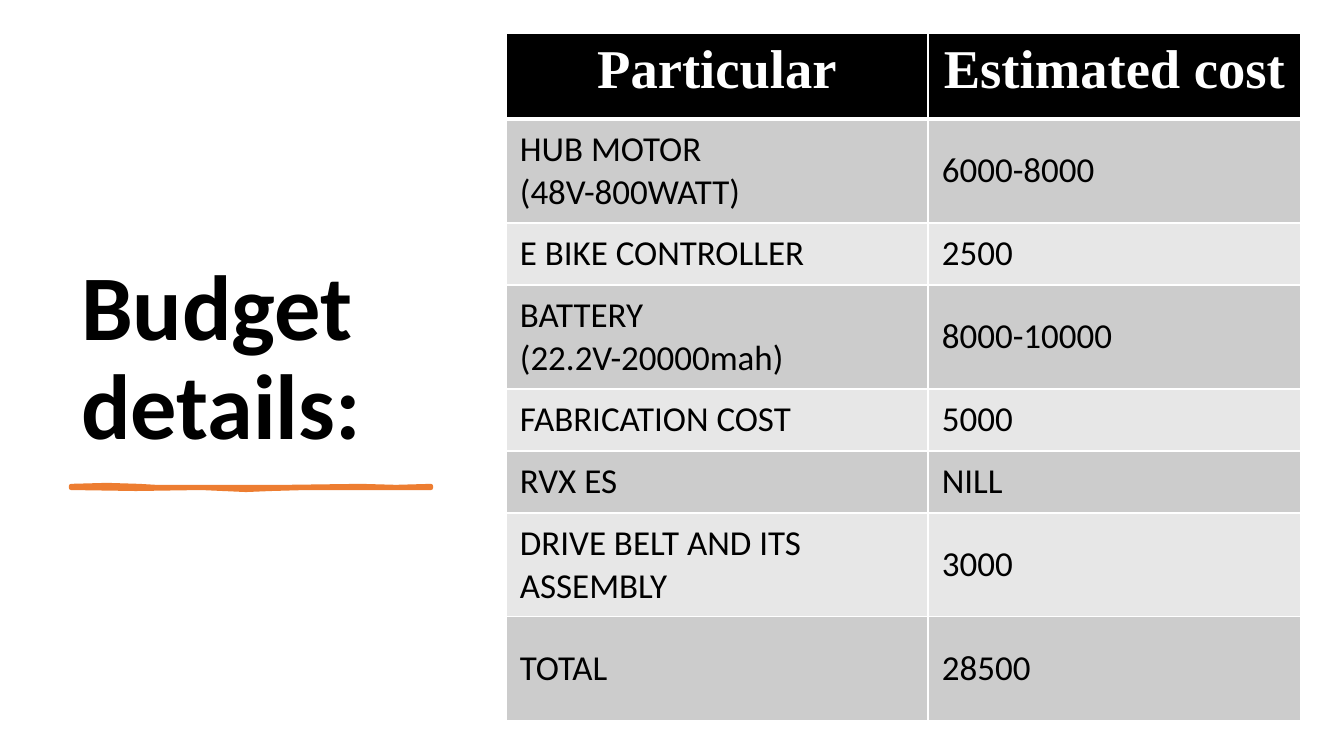
from lxml import etree
from pptx import Presentation
from pptx import util as u
from pptx.dml.color import RGBColor
from pptx.enum import text
from pptx.oxml import ns

BLACK = RGBColor(0, 0, 0)
WHITE = RGBColor(255, 255, 255)
DARK = RGBColor(0xCC, 0xCC, 0xCC)
LIGHT = RGBColor(0xE7, 0xE7, 0xE7)
ORANGE = RGBColor(0xED, 0x7D, 0x31)
SCALE = 914400 / 100.8
COLS = (422, 373)
HEAD = ("Particular", "Estimated cost")
COSTS = (
    ("HUB MOTOR (48V-800WATT)", "6000-8000", 104),
    ("E BIKE CONTROLLER ", "2500", 62),
    ("BATTERY (22.2V-20000mah)", "8000-10000", 104),
    ("FABRICATION COST", "5000", 62),
    ("RVX ES", "NILL", 62),
    ("DRIVE BELT AND ITS ASSEMBLY", "3000", 104),
    ("TOTAL", "28500", 104),
)
WAVE = ((0, 1), (36, 0), (68, 1), (85, 2), (140, 2), (215, 2), (290, 1),
        (325, 2), (360, 1), (360, 3), (280, 3), (235, 3), (200, 4),
        (175, 5), (130, 3), (65, 4), (0, 3))


def px(n):
    """Turn pixels into EMU."""
    return u.Emu(round(n * SCALE))


def write(para, words, font, size, color, bold):
    """Add one styled run to a paragraph."""
    run = para.add_run()
    run.text = words
    run.font.name, run.font.size = font, u.Pt(size)
    run.font.color.rgb, run.font.bold = color, bold


def title(slide, x, y, w, h):
    """Set the heading at the foot of its box."""
    box = slide.shapes.title
    box.left, box.top, box.width, box.height = map(px, (x, y, w, h))
    frame = box.text_frame
    frame.word_wrap = True
    frame.auto_size = text.MSO_AUTO_SIZE.NONE
    frame.vertical_anchor = text.MSO_ANCHOR.BOTTOM
    para = frame.paragraphs[0]
    para.alignment = text.PP_ALIGN.LEFT
    para.line_spacing = 0.9
    write(para, "Budget details: ", "Calibri", 66, BLACK, True)


def stroke(slide, x, y):
    """Draw the wavy underline from its top left corner."""
    pen = slide.shapes.build_freeform(*WAVE[0], scale=SCALE)
    pen.add_line_segments(WAVE[1:], close=True)
    wave = pen.convert_to_shape(px(x), px(y))
    wave.shadow.inherit = False
    wave.fill.solid()
    wave.fill.fore_color.rgb = ORANGE
    wave.line.color.rgb = ORANGE
    wave.line.width = u.Pt(3)
    etree.SubElement(wave.line._get_or_add_ln(), ns.qn("a:round"))


def edge(cell, **widths):
    """Give a cell white borders of the given widths in points."""
    props = cell._tc.get_or_add_tcPr()
    for i, side in enumerate("LRTB"):
        line = etree.Element(ns.qn("a:ln" + side), w=str(u.Pt(widths.get(side, 1))))
        fill = etree.SubElement(line, ns.qn("a:solidFill"))
        etree.SubElement(fill, ns.qn("a:srgbClr"), val=str(WHITE))
        props.insert(i, line)


def fill(cell, words, row):
    """Style and fill one cell by its row number."""
    head = row == 0
    cell.margin_left = cell.margin_right = px(14)
    cell.margin_top = cell.margin_bottom = px(7)
    cell.vertical_anchor = text.MSO_ANCHOR.TOP if head else text.MSO_ANCHOR.MIDDLE
    cell.fill.solid()
    cell.fill.fore_color.rgb = BLACK if head else DARK if row % 2 else LIGHT
    edge(cell, B=3 if head else 1, T=3 if row == 1 else 1)
    para = cell.text_frame.paragraphs[0]
    if head:
        para.alignment = text.PP_ALIGN.CENTER
        write(para, words, "Times New Roman", 39, WHITE, True)
    else:
        write(para, words, "Calibri", 25, BLACK, False)


def costs(slide, x, y):
    """Place the cost table from its top left corner."""
    rows = ((*HEAD, 86), *COSTS)
    tall = sum(row[-1] for row in rows)
    grid = slide.shapes.add_table(
        len(rows), len(COLS), px(x), px(y), px(sum(COLS)), px(tall)).table
    for col, wide in zip(grid.columns, COLS):
        col.width = px(wide)
    for r, (*cells, high) in enumerate(rows):
        grid.rows[r].height = px(high)
        for c, words in enumerate(cells):
            fill(grid.cell(r, c), words, r)


def main():
    """Build and save the slide."""
    deck = Presentation()
    deck.slide_width, deck.slide_height = px(1344), px(756)
    slide = deck.slides.add_slide(deck.slide_layouts[5])
    title(slide, 71, 71, 394, 394)
    stroke(slide, 71, 485)
    costs(slide, 506, 33)
    deck.save("out.pptx")


main()
